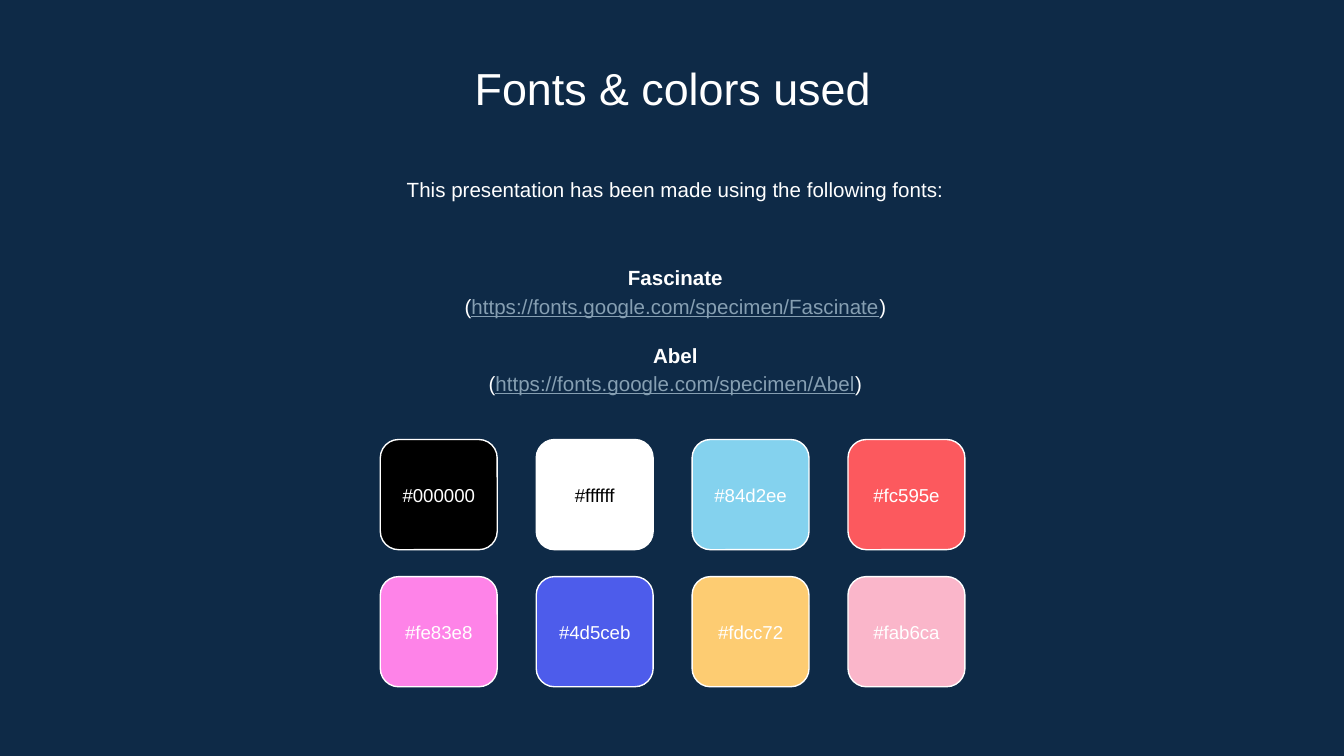
"""Build the slide listing the fonts and colors used."""
from lxml.etree import SubElement
from pptx import Presentation
from pptx.dml.color import RGBColor
from pptx.enum.shapes import MSO_SHAPE
from pptx.enum.text import MSO_ANCHOR, MSO_AUTO_SIZE, PP_ALIGN
from pptx.oxml.ns import qn
from pptx.util import Inches, Pt

NAVY = RGBColor(0x0E, 0x2A, 0x47)
WHITE = RGBColor(0xFF, 0xFF, 0xFF)
BLACK = RGBColor(0x00, 0x00, 0x00)
LINK = RGBColor(0x86, 0x9F, 0xB2)

FONTS = ["Fascinate", "Abel"]
SWATCHES = [
    ["000000", "ffffff", "84d2ee", "fc595e"],
    ["fe83e8", "4d5ceb", "fdcc72", "fab6ca"],
]


def set_frame(sp, anchor):
    tf = sp.text_frame
    tf.word_wrap = True
    tf.auto_size = MSO_AUTO_SIZE.NONE
    tf.vertical_anchor = anchor
    tf.margin_left = tf.margin_right = Inches(0.1)
    tf.margin_top = tf.margin_bottom = Inches(0.1)
    return tf


def add_run(p, text, size, color=WHITE, bold=False, underline=False):
    p.alignment = PP_ALIGN.CENTER
    r = p.add_run()
    r.text = text
    r.font.name = "Arial"
    r.font.size = Pt(size)
    r.font.color.rgb = color
    r.font.bold = bold
    r.font.underline = underline


prs = Presentation()
prs.slide_width = Inches(10)
prs.slide_height = Inches(10) * 9 // 16
s = prs.slides.add_slide(prs.slide_layouts[1])
s.background.fill.solid()
s.background.fill.fore_color.rgb = NAVY

title = s.shapes.title
title.left, title.top = Inches(1.15), Inches(0.35)
title.width, title.height = Inches(7.71), Inches(0.53)
tf = set_frame(title, MSO_ANCHOR.TOP)
add_run(tf.paragraphs[0], "Fonts & colors used", 24)

intro = s.shapes.add_textbox(Inches(1.17), Inches(1.19), Inches(7.71), Inches(0.48))
p = set_frame(intro, MSO_ANCHOR.TOP).paragraphs[0]
p.line_spacing = 1.15
add_run(p, "This presentation has been made using the following fonts:", 11)

body = s.placeholders[1]
body.left, body.top = Inches(1.17), Inches(1.76)
body.width, body.height = Inches(7.71), Inches(1.37)
tf = set_frame(body, MSO_ANCHOR.MIDDLE)
for i, name in enumerate(FONTS):
    p = tf.add_paragraph() if i else tf.paragraphs[0]
    p.space_before = Pt(11 if i else 0)
    add_run(p, name, 11, bold=True)
    p = tf.add_paragraph()
    p.space_before = Pt(0)
    add_run(p, "(", 11)
    add_run(p, f"https://fonts.google.com/specimen/{name}", 11, LINK, underline=True)
    add_run(p, ")", 11)
for p in tf.paragraphs:
    p.line_spacing = 1.15
    pPr = p._p.get_or_add_pPr()
    pPr.set("marL", "0")
    pPr.set("indent", "0")
    SubElement(pPr, qn("a:buNone"))

for row, codes in enumerate(SWATCHES):
    for col, code in enumerate(codes):
        left, top = 2.83 + 1.16 * col, 3.27 + 1.02 * row
        sp = s.shapes.add_shape(
            MSO_SHAPE.ROUNDED_RECTANGLE,
            Inches(left), Inches(top), Inches(0.87), Inches(0.82))
        sp.shadow.inherit = False
        sp.fill.solid()
        sp.fill.fore_color.rgb = RGBColor.from_string(code.upper())
        sp.line.color.rgb = WHITE
        sp.line.width = Pt(0.75)
        label = s.shapes.add_textbox(
            Inches(left), Inches(top + 0.17), Inches(0.87), Inches(0.48))
        tf = set_frame(label, MSO_ANCHOR.MIDDLE)
        add_run(tf.paragraphs[0], f"#{code}", 10, BLACK if code == "ffffff" else WHITE)

prs.save("out.pptx")
